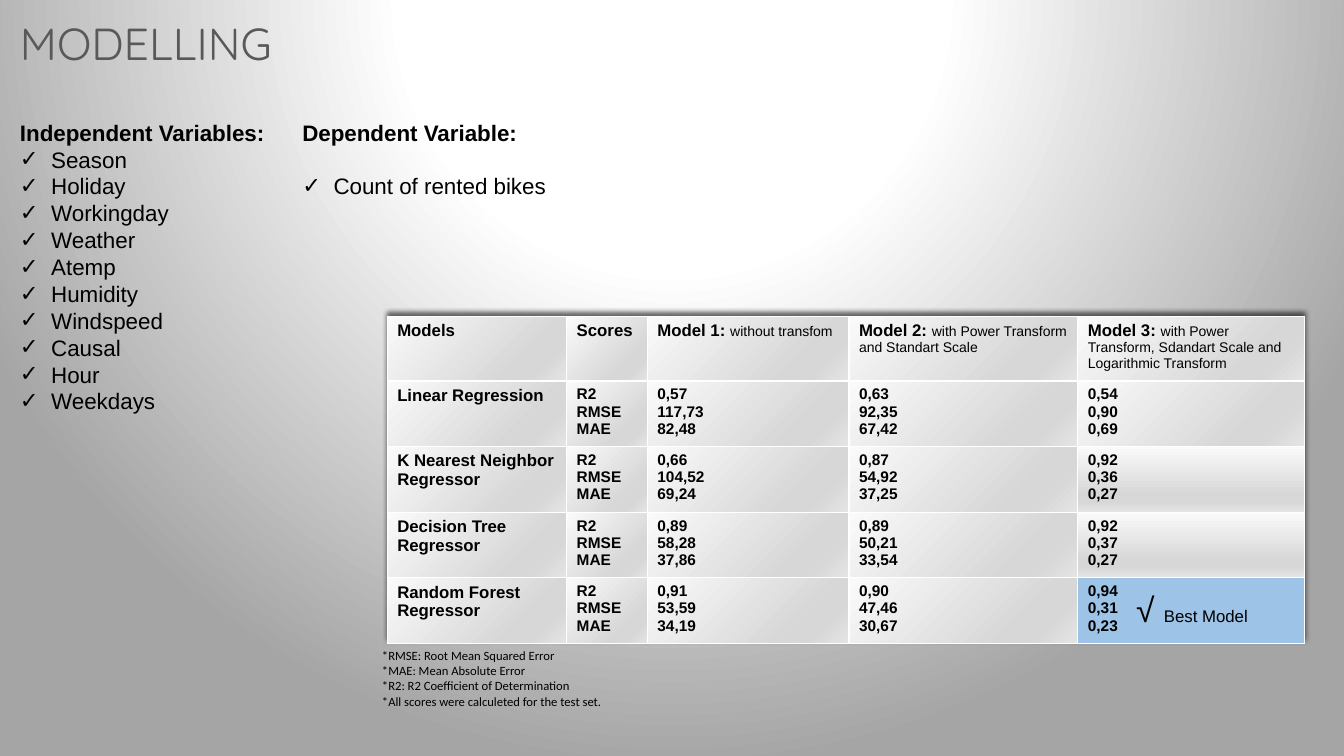
from lxml.etree import fromstring
from pptx import Presentation
from pptx.dml.color import RGBColor
from pptx.oxml.ns import nsdecls, qn
from pptx.util import Inches, Pt

# Content
TITLE = "MODELLING"
INPUTS = ("Independent Variables:", ["Season", "Holiday", "Workingday", "Weather", "Atemp",
          "Humidity", "Windspeed", "Causal", "Hour", "Weekdays"])
TARGET = ("Dependent Variable:", ["Count of rented bikes"])
HEAD = [("Models", ""), ("Scores", ""), ("Model 1: ", "without transfom"),
        ("Model 2: ", "with Power Transform and Standart Scale"),
        ("Model 3: ", "with Power Transform, Sdandart Scale and Logarithmic Transform")]
SCORES = ["R2", "RMSE", "MAE"]
MODELS = [
    ("Linear Regression", ["0,57", "117,73", "82,48"], ["0,63", "92,35", "67,42"], ["0,54", "0,90", "0,69"]),
    ("K Nearest Neighbor Regressor", ["0,66", "104,52", "69,24"], ["0,87", "54,92", "37,25"], ["0,92", "0,36", "0,27"]),
    ("Decision Tree Regressor", ["0,89", "58,28", "37,86"], ["0,89", "50,21", "33,54"], ["0,92", "0,37", "0,27"]),
    ("Random Forest Regressor", ["0,91", "53,59", "34,19"], ["0,90", "47,46", "30,67"], ["0,94", "0,31", "0,23"]),
]
BEST = ("√ ", "Best Model")
NOTES = ["*RMSE: Root Mean Squared Error", "*MAE: Mean Absolute Error",
         "*R2: R2 Coefficient of Determination", "*All scores were calculeted for the test set."]

# Formats
HUES = {"ink": "000000", "title": "595959", "best": "9DC3E6"}
BACK = [(0, "FFFFFF"), (35, "FFFFFF"), (100, "A5A5A5")]
STEEL = [(0, "FAFAFA"), (74, "D7D7D7"), (83, "D7D7D7"), (100, "E4E4E4")]
FORMS = {
    "title": {"size": Pt(32), "name": "Quicksand"},
    "list": {"size": Pt(16), "name": "Arial", "bold": False},
    "lead": {"size": Pt(16), "name": "Arial", "bold": True},
    "label": {"size": Pt(12), "name": "Arial", "bold": True},
    "hint": {"size": Pt(10), "name": "Arial", "bold": False},
    "score": {"size": Pt(11), "name": "Arial", "bold": True},
    "tick": {"size": Pt(24), "name": "Arial"},
    "best": {"size": Pt(12), "name": "Arial"},
    "note": {"size": Pt(9), "name": "Calibri"},
}
COLS = [1.78, 0.8, 2, 2.27, 2.25]
ROWS = [0.64] + [0.65] * len(MODELS)
LEFT, TOP, EDGE = 3.84, 3.14, 0.1
LINE, INDENT = 19.2, 0.31

deck = Presentation()
deck.slide_width, deck.slide_height = Inches(13.33), Inches(7.5)
slide = deck.slides.add_slide(deck.slide_layouts[6])


def blend(stops, focus=None):
    """Gradient fill: round about a focus, or straight down."""
    marks = "".join(f'<a:gs pos="{at * 1000}"><a:srgbClr val="{hue}"/></a:gs>' for at, hue in stops)
    if focus:
        sides = " ".join(f'{side}="{share * 1000}"' for side, share in zip("ltrb", focus))
        way = f'<a:path path="circle"><a:fillToRect {sides}/></a:path>'
    else:
        way = '<a:lin ang="5400000" scaled="0"/>'
    return fromstring(f'<a:gradFill {nsdecls("a")} rotWithShape="1"><a:gsLst>{marks}</a:gsLst>{way}</a:gradFill>')


def write(para, text, form, hue="ink"):
    run = para.add_run()
    run.text = text
    for key, value in FORMS[form].items():
        setattr(run.font, key, value)
    run.font.color.rgb = RGBColor.from_string(HUES[hue])


def fill_text(frame, lines, hue="ink"):
    """Each line is a list of (text, form) runs."""
    for i, line in enumerate(lines):
        para = frame.paragraphs[0] if i == 0 else frame.add_paragraph()
        for text, form in line:
            write(para, text, form, hue)


def add_text(box, lines, hue="ink"):
    frame = slide.shapes.add_textbox(*map(Inches, box)).text_frame
    frame.word_wrap = True
    fill_text(frame, lines, hue)
    return frame


def add_list(box, group, gap=0):
    lead, items = group
    frame = add_text(box, [[(lead, "lead")]] + [[(item, "list")] for item in items])
    for i, para in enumerate(frame.paragraphs):
        para.line_spacing = Pt(LINE)
        if i == 0:
            continue
        para.space_before = Pt(gap if i == 1 else 0)
        props = para._p.get_or_add_pPr()
        props.set("marL", str(Inches(INDENT)))
        props.set("indent", str(-Inches(INDENT)))
        props.append(fromstring(f'<a:buFont {nsdecls("a")} typeface="Arial"/>'))
        props.append(fromstring(f'<a:buChar {nsdecls("a")} char="✓"/>'))


# Background
slide.background.fill.solid()
solid = slide._element.find(".//" + qn("a:solidFill"))
solid.getparent().replace(solid, blend(BACK, (50, -80, 50, 180)))

# Title and variable lists
add_text((EDGE, 0.11, 6.33, 0.64), [[(TITLE, "title")]], "title")
add_list((EDGE, 1.13, 2.8, 3.64), INPUTS)
add_list((EDGE + 2.8, 1.13, 3.34, 0.91), TARGET, gap=LINE)

# Score table
box = map(Inches, (LEFT, TOP, sum(COLS), sum(ROWS)))
table = slide.shapes.add_table(len(ROWS), len(COLS), *box).table
table.horz_banding = False
for col, width in zip(table.columns, COLS):
    col.width = Inches(width)
for row, height in zip(table.rows, ROWS):
    row.height = Inches(height)
table._tbl.tblPr.insert(0, fromstring(
    f'<a:effectLst {nsdecls("a")}><a:outerShdw blurRad="50800" dist="38100" dir="16200000" rotWithShape="0">'
    '<a:srgbClr val="000000"><a:alpha val="60000"/></a:srgbClr></a:outerShdw></a:effectLst>'))

grid = [[[[(name, "label")] + ([(hint, "hint")] if hint else [])] for name, hint in HEAD]]
for name, *values in MODELS:
    grid.append([[[(name, "label")]]] + [[[(text, "score")] for text in part] for part in (SCORES, *values)])

last = len(COLS) - 1
for r, row in enumerate(grid):
    for c, lines in enumerate(row):
        cell = table.cell(r, c)
        fill_text(cell.text_frame, lines)
        if c == last and r == len(MODELS):
            cell.fill.solid()
            cell.fill.fore_color.rgb = RGBColor.from_string(HUES["best"])
        else:
            down = c == last and r in (2, 3)
            cell._tc.get_or_add_tcPr().append(blend(STEEL, None if down else (0, 0, 100, 100)))

# Best model mark and notes
add_text((11.17, 5.79, 1.77, 0.5), [list(zip(BEST, ("tick", "best")))])
add_text((3.69, TOP + sum(ROWS), 2.55, 0.71), [[(note, "note")] for note in NOTES])

deck.save("out.pptx")
